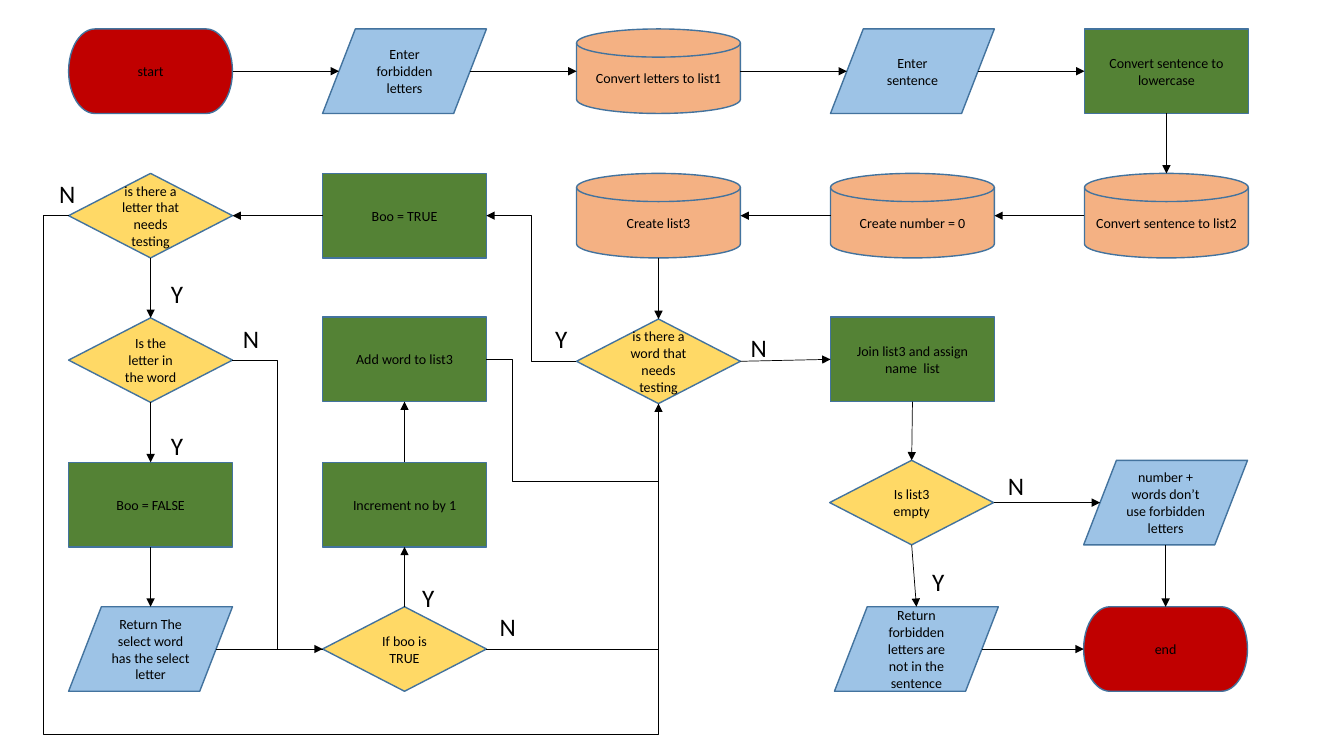
import dataclasses

import lxml.etree
import pptx
import pptx.dml.color
import pptx.enum.shapes
import pptx.enum.text
import pptx.oxml.ns
import pptx.util

Cm = pptx.util.Cm
Pt = pptx.util.Pt
Kind = pptx.enum.shapes.MSO_SHAPE
Align = pptx.enum.text.PP_ALIGN
qn = pptx.oxml.ns.qn


@dataclasses.dataclass(frozen=True)
class Theme:
    font: str = "Calibri"
    ink: str = "000000"
    outline: str = "43739E"
    terminal: str = "C00000"
    process: str = "548235"
    data: str = "9DC3E6"
    decision: str = "FFD966"
    storage: str = "F4B183"
    node_size: float = 10
    label_size: float = 18
    outline_width: float = 1
    arrow_width: float = 0.5


THEME = Theme()

# Grid of the flowchart, in centimetres
LEFT, TOP = 1.73, 0.73
COLUMN_STEP, ROW_STEP = 6.4, 3.64
NODE_WIDTH, NODE_HEIGHT = 4.13, 2.13

# Preset shape and fill of each kind of step
STYLES = {
    "terminal": (Kind.FLOWCHART_TERMINATOR, THEME.terminal),
    "process": (Kind.FLOWCHART_PROCESS, THEME.process),
    "data": (Kind.FLOWCHART_DATA, THEME.data),
    "decision": (Kind.FLOWCHART_DECISION, THEME.decision),
    "storage": (Kind.FLOWCHART_MAGNETIC_DISK, THEME.storage),
}

# Connection site numbers; kinds not listed use the plain order
PLAIN_SITES = {"top": 0, "left": 1, "bottom": 2, "right": 3}
SPECIAL_SITES = {
    "data": {"top": 1, "left": 2, "bottom": 4, "right": 5},
    "storage": {"top": 1, "left": 2, "bottom": 3, "right": 4},
}

# name: kind, column, row, text, (shift right, shift down)
NODES = {
    "start": ("terminal", 0, 0, "start", (0, 0)),
    "enter letters": ("data", 1, 0, "Enter forbidden letters", (0, 0)),
    "list1": ("storage", 2, 0, "Convert letters to list1", (0, 0)),
    "enter sentence": ("data", 3, 0, "Enter sentence", (0, 0)),
    "lowercase": ("process", 4, 0, "Convert sentence to lowercase", (0, 0)),
    "more letters": ("decision", 0, 1, "is there a letter that needs testing", (0, 0)),
    "boo true": ("process", 1, 1, "Boo = TRUE", (0, 0)),
    "list3": ("storage", 2, 1, "Create list3", (0, 0)),
    "number": ("storage", 3, 1, "Create number = 0", (0, 0)),
    "list2": ("storage", 4, 1, "Convert sentence to list2", (0, 0)),
    "letter in word": ("decision", 0, 2, "Is the letter in the word", (0, 0)),
    "add word": ("process", 1, 2, "Add word to list3", (0, -0.02)),
    "more words": ("decision", 2, 2, "is there a word that needs testing", (0, 0.03)),
    "join": ("process", 3, 2, "Join list3 and assign name  list", (0, -0.02)),
    "boo false": ("process", 0, 3, "Boo = FALSE", (0, 0)),
    "increment": ("process", 1, 3, "Increment no by 1", (0, 0)),
    "list3 empty": ("decision", 3, 3, "Is list3 empty", (-0.02, -0.05)),
    "report number": ("data", 4, 3, "number + words don’t use forbidden letters", (-0.02, -0.05)),
    "return word": ("data", 0, 4, "Return The select word has the select letter", (0, 0)),
    "boo test": ("decision", 1, 4, "If boo is TRUE", (0, 0)),
    "return none": ("data", 3, 4, "Return forbidden letters are not in the sentence", (0.1, 0)),
    "end": ("terminal", 4, 4, "end", (-0.02, 0)),
}

# Straight arrows, grouped by the sides they leave and reach
ARROWS = {
    ("right", "left"): [
        ("start", "enter letters"), ("enter letters", "list1"),
        ("list1", "enter sentence"), ("enter sentence", "lowercase"),
        ("return word", "boo test"), ("more words", "join"),
        ("list3 empty", "report number"), ("return none", "end"),
    ],
    ("left", "right"): [
        ("list2", "number"), ("number", "list3"), ("boo true", "more letters"),
    ],
    ("bottom", "top"): [
        ("lowercase", "list2"), ("list3", "more words"),
        ("more letters", "letter in word"), ("letter in word", "boo false"),
        ("boo false", "return word"), ("join", "list3 empty"),
        ("list3 empty", "return none"), ("report number", "end"),
    ],
    ("top", "bottom"): [("boo test", "increment"), ("increment", "add word")],
}

# Bent routes: from, side, to, side, preset, bend x, bend y, arrowhead
ROUTES = [
    ("more words", "left", "boo true", "right", "bentConnector3", 13.39, None, True),
    ("more letters", "left", "more words", "bottom", "bentConnector4", 1.09, 18.52, True),
    ("letter in word", "right", "boo test", "left", "bentConnector3", 7.0, None, False),
    ("add word", "right", "more words", "bottom", "bentConnector4", 12.9, 12.12, False),
    ("boo test", "right", "more words", "bottom", "bentConnector2", None, None, False),
]

# Branch labels: text, left, top, width
LABELS = [
    ("Y", 13.74, 8.03, 0.79), ("Y", 4.06, 6.88, 0.89), ("N", 1.24, 4.37, 0.84),
    ("Y", 4.06, 10.72, 0.64), ("N", 5.87, 8.03, 0.91), ("Y", 10.39, 14.55, 0.99),
    ("N", 12.34, 15.29, 1.04), ("N", 18.67, 8.26, 0.71), ("Y", 23.24, 14.15, 0.51),
    ("N", 25.15, 11.73, 0.84),
]


def color(value):
    return pptx.dml.color.RGBColor.from_string(value)


def write(paragraph, text, size):
    run = paragraph.add_run()
    run.text = text
    run.font.name = THEME.font
    run.font.size = Pt(size)
    run.font.color.rgb = color(THEME.ink)


def add_node(slide, kind, column, row, text, shift):
    preset, fill = STYLES[kind]
    shape = slide.shapes.add_shape(
        preset,
        Cm(LEFT + column * COLUMN_STEP + shift[0]),
        Cm(TOP + row * ROW_STEP + shift[1]),
        Cm(NODE_WIDTH), Cm(NODE_HEIGHT))
    shape.shadow.inherit = False
    shape.fill.solid()
    shape.fill.fore_color.rgb = color(fill)
    shape.line.color.rgb = color(THEME.outline)
    shape.line.width = Pt(THEME.outline_width)
    shape.text_frame.word_wrap = True
    shape.text_frame.vertical_anchor = pptx.enum.text.MSO_ANCHOR.MIDDLE
    paragraph = shape.text_frame.paragraphs[0]
    paragraph.alignment = Align.CENTER
    write(paragraph, text, THEME.node_size)
    return shape


def site_point(shape, kind, side):
    """Position of the middle of a side; data steps slant inwards."""
    inset = shape.width // 10 if kind == "data" else 0
    middle_x = shape.left + shape.width // 2
    middle_y = shape.top + shape.height // 2
    return {
        "top": (middle_x, shape.top),
        "bottom": (middle_x, shape.top + shape.height),
        "left": (shape.left + inset, middle_y),
        "right": (shape.left + shape.width - inset, middle_y),
    }[side]


def glue(connector, tag, shape, kind, side):
    site = SPECIAL_SITES.get(kind, PLAIN_SITES)[side]
    properties = connector._element.find(".//" + qn("p:cNvCxnSpPr"))
    lxml.etree.SubElement(properties, qn(tag), id=str(shape.shape_id), idx=str(site))


def bend(connector, preset, start, finish, bend_x, bend_y):
    """Set the bent preset and turn bend positions into its adjustments."""
    geometry = connector._element.spPr.find(qn("a:prstGeom"))
    geometry.set("prst", preset)
    guides = geometry.find(qn("a:avLst"))
    for axis, position in enumerate((bend_x, bend_y)):
        if position is not None:
            share = (Cm(position) - start[axis]) / (finish[axis] - start[axis])
            lxml.etree.SubElement(guides, qn("a:gd"), name=f"adj{axis + 1}",
                                  fmla=f"val {round(share * 100000)}")


def connect(slide, shapes, source, source_side, target, target_side,
            preset=None, bend_x=None, bend_y=None, arrowhead=True):
    ends = [(shapes[name], NODES[name][0], side)
            for name, side in ((source, source_side), (target, target_side))]
    start, finish = (site_point(*end) for end in ends)
    connector_type = pptx.enum.shapes.MSO_CONNECTOR
    connector = slide.shapes.add_connector(
        connector_type.ELBOW if preset else connector_type.STRAIGHT, *start, *finish)
    for tag, end in zip(("a:stCxn", "a:endCxn"), ends):
        glue(connector, tag, *end)
    if preset:
        bend(connector, preset, start, finish, bend_x, bend_y)
    connector.line.color.rgb = color(THEME.ink)
    connector.line.width = Pt(THEME.arrow_width)
    properties = connector._element.spPr
    if arrowhead:
        lxml.etree.SubElement(properties.find(qn("a:ln")), qn("a:tailEnd"), type="triangle")
    lxml.etree.SubElement(properties, qn("a:effectLst"))


def add_label(slide, text, left, top, width):
    box = slide.shapes.add_textbox(Cm(left), Cm(top), Cm(width), Cm(1.03))
    box.text_frame.word_wrap = True
    box.text_frame.auto_size = pptx.enum.text.MSO_AUTO_SIZE.SHAPE_TO_FIT_TEXT
    write(box.text_frame.paragraphs[0], text, THEME.label_size)


def main():
    presentation = pptx.Presentation()
    presentation.slide_width, presentation.slide_height = Cm(33.87), Cm(19.05)
    slide = presentation.slides.add_slide(presentation.slide_layouts[6])

    # Steps, then the arrows between them, then the branch labels
    shapes = {name: add_node(slide, *node) for name, node in NODES.items()}
    for (source_side, target_side), pairs in ARROWS.items():
        for source, target in pairs:
            connect(slide, shapes, source, source_side, target, target_side)
    for route in ROUTES:
        connect(slide, shapes, *route)
    for label in LABELS:
        add_label(slide, *label)

    presentation.save("out.pptx")


main()
